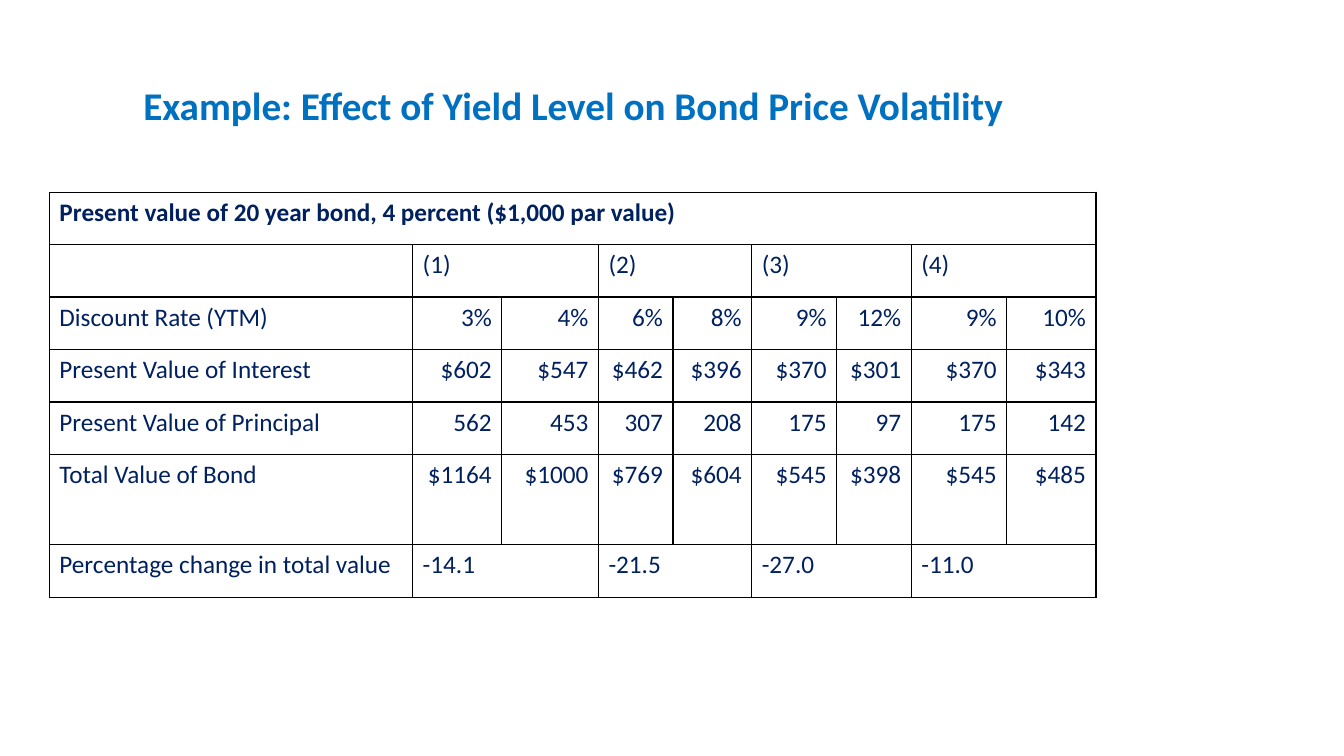
from lxml import etree
from pptx import Presentation
from pptx.dml.color import RGBColor
from pptx.enum.text import PP_ALIGN as ALIGN
from pptx.oxml.ns import qn
from pptx.util import Pt

PX = 9525  # EMU per px, 96 px to the inch
BLUE = RGBColor(0x00, 0x70, 0xC0)
NAVY = RGBColor(0x00, 0x20, 0x60)
BLACK = RGBColor(0x00, 0x00, 0x00)

COL_WIDTHS = [346, 85, 92, 71, 75, 81, 71, 91, 85]
ROW_HEIGHTS = [50, 50, 50, 50, 50, 86, 50]
HEADING = "Present value of 20 year bond, 4 percent ($1,000 par value)"
# A row with four values has one value for each pair of columns.
ROWS = [
    ("", ["(1)", "(2)", "(3)", "(4)"]),
    ("Discount Rate (YTM)", ["3%", "4%", "6%", "8%", "9%", "12%", "9%", "10%"]),
    ("Present Value of Interest",
     ["$602", "$547", "$462", "$396", "$370", "$301", "$370", "$343"]),
    ("Present Value of Principal",
     ["562", "453", "307", "208", "175", "97", "175", "142"]),
    ("Total Value of Bond",
     ["$1164", "$1000", "$769", "$604", "$545", "$398", "$545", "$485"]),
    ("Percentage change in total value", ["-14.1", "-21.5", "-27.0", "-11.0"]),
]


def write(tf, text, size=18, color=NAVY, bold=False, align=ALIGN.LEFT):
    p = tf.paragraphs[0]
    p.alignment = align
    p.font.size = Pt(size)
    if text:
        r = p.add_run()
        r.text = text
        r.font.name = "Calibri"
        r.font.size = Pt(size)
        r.font.bold = bold
        r.font.color.rgb = color


def add_borders(cell):
    tcPr = cell._tc.get_or_add_tcPr()
    for side in ("a:lnL", "a:lnR", "a:lnT", "a:lnB"):
        ln = etree.SubElement(tcPr, qn(side), w=str(Pt(0.96)))
        fill = etree.SubElement(ln, qn("a:solidFill"))
        etree.SubElement(fill, qn("a:srgbClr"), val=str(BLACK))


prs = Presentation()
prs.slide_width, prs.slide_height = 1280 * PX, 720 * PX
s = prs.slides.add_slide(prs.slide_layouts[6])

title = s.shapes.add_textbox(127 * PX, 73 * PX, 976 * PX, 55 * PX)
title.text_frame.word_wrap = True
write(title.text_frame, "Example: Effect of Yield Level on Bond Price Volatility",
      size=28, color=BLUE, bold=True)

table = s.shapes.add_table(len(ROW_HEIGHTS), len(COL_WIDTHS), 47 * PX, 183 * PX,
                           sum(COL_WIDTHS) * PX, sum(ROW_HEIGHTS) * PX).table
table.first_row = False
table.horz_banding = False
for col, width in zip(table.columns, COL_WIDTHS):
    col.width = width * PX
for row, height in zip(table.rows, ROW_HEIGHTS):
    row.height = height * PX
for cell in table.iter_cells():
    add_borders(cell)
    cell.fill.background()

table.cell(0, 0).merge(table.cell(0, len(COL_WIDTHS) - 1))
write(table.cell(0, 0).text_frame, HEADING, bold=True)

for i, (label, values) in enumerate(ROWS, start=1):
    write(table.cell(i, 0).text_frame, label)
    span = 8 // len(values)
    for j, value in enumerate(values):
        cell = table.cell(i, 1 + j * span)
        if span > 1:
            cell.merge(table.cell(i, (j + 1) * span))
        write(cell.text_frame, value, align=ALIGN.LEFT if span > 1 else ALIGN.RIGHT)

prs.save("out.pptx")
